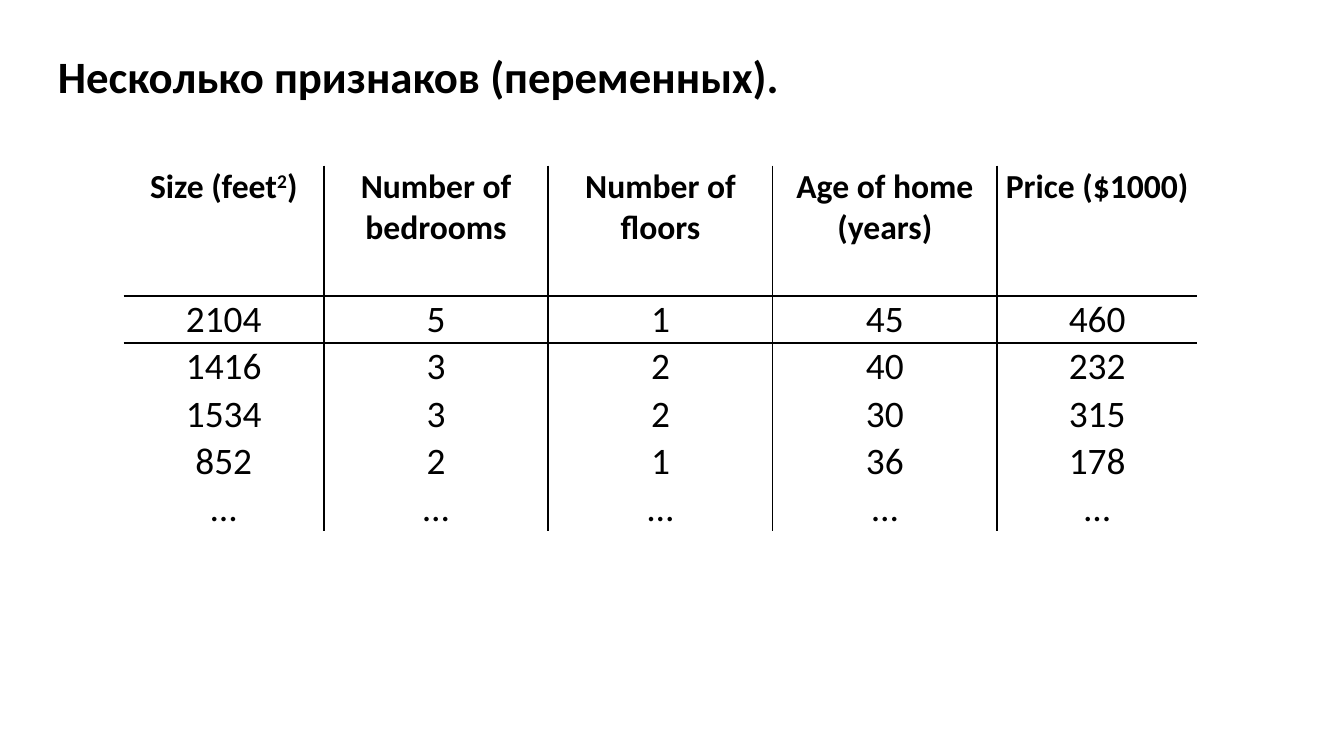
import pptx
import pptx.util
import pptx.dml.color
import pptx.enum.text
import pptx.oxml
import pptx.oxml.ns

RGB = pptx.dml.color.RGBColor.from_string
ALIGN = pptx.enum.text.PP_ALIGN
ANCHOR = pptx.enum.text.MSO_ANCHOR
THEME = {
    "ink": "000000",
    "paper": "FFFFFF",
    "font": "Calibri",
    "title": 24,
    "header": 18,
    "body": 20,
    "line": 1,
}

HEADERS = ["Size (feet2)", "Number of bedrooms", "Number of floors",
           "Age of home (years)", "Price ($1000)"]
HOMES = [
    ["2104", "5", "1", "45", "460"],
    ["1416", "3", "2", "40", "232"],
    ["1534", "3", "2", "30", "315"],
    ["852", "2", "1", "36", "178"],
    ["…"] * 5,
]
RULED_ROWS = (0, 1)

prs = pptx.Presentation()
prs.slide_width = pptx.util.Inches(10)
prs.slide_height = prs.slide_width * 9 // 16
W, H = prs.slide_width, prs.slide_height
s = prs.slides.add_slide(prs.slide_layouts[5])


def write(p, text, size, bold, align):
    p.alignment = align
    r = p.add_run()
    r.text = text
    fmt = {"name": THEME["font"], "size": pptx.util.Pt(size), "bold": bold}
    for key, value in fmt.items():
        setattr(r.font, key, value)
    r.font.color.rgb = RGB(THEME["ink"])
    return r


def border(cell, side, shown):
    ns = pptx.oxml.ns.nsdecls("a")
    fill = f'<a:solidFill><a:srgbClr val="{THEME["ink"]}"/></a:solidFill>' if shown else "<a:noFill/>"
    ln = f'<a:ln{side} {ns} w="{pptx.util.Pt(THEME["line"])}">{fill}</a:ln{side}>'
    cell._tc.get_or_add_tcPr().append(pptx.oxml.parse_xml(ln))


title = s.shapes.title
box = {"left": 0.033 * W, "top": 0.055 * H, "width": 0.85 * W, "height": 0.09 * H}
for key, value in box.items():
    setattr(title, key, int(value))
tf = title.text_frame
frame = {"word_wrap": True, "vertical_anchor": ANCHOR.TOP,
         "auto_size": pptx.enum.text.MSO_AUTO_SIZE.NONE}
for key, value in frame.items():
    setattr(tf, key, value)
write(tf.paragraphs[0], "Несколько признаков (переменных).", THEME["title"], True, ALIGN.LEFT)

rows = [HEADERS] + HOMES
widths = [int(share * W) for share in (0.149, 0.167, 0.167, 0.167, 0.149)]
heights = [pptx.util.Inches(0.97)] + [pptx.util.Inches(0.33)] * len(HOMES)
tbl = s.shapes.add_table(len(rows), len(widths), int(0.092 * W), int(0.219 * H),
                         sum(widths), sum(heights)).table
tbl.horz_banding = False
for col, width in zip(tbl.columns, widths):
    col.width = width
for row, height in zip(tbl.rows, heights):
    row.height = height

for i, texts in enumerate(rows):
    head = i == 0
    size = THEME["header"] if head else THEME["body"]
    for j, text in enumerate(texts):
        cell = tbl.cell(i, j)
        fmt = {"margin_left": 0.01, "margin_right": 0.01, "margin_top": 0.01, "margin_bottom": 0}
        for key, value in fmt.items():
            setattr(cell, key, pptx.util.Inches(value))
        cell.vertical_anchor = ANCHOR.TOP if head else ANCHOR.BOTTOM
        sides = {"L": j > 0, "R": j < len(texts) - 1,
                 "T": i - 1 in RULED_ROWS, "B": i in RULED_ROWS}
        for side, shown in sides.items():
            border(cell, side, shown)
        cell.fill.solid()
        cell.fill.fore_color.rgb = RGB(THEME["paper"])
        p = cell.text_frame.paragraphs[0]
        before, power, after = text.partition("feet2")
        parts = [before + "feet", "2", after] if power else [text]
        for k, part in enumerate(parts):
            r = write(p, part, size, head, ALIGN.CENTER)
            if k == 1:
                r._r.get_or_add_rPr().set("baseline", "30000")

prs.save("out.pptx")
